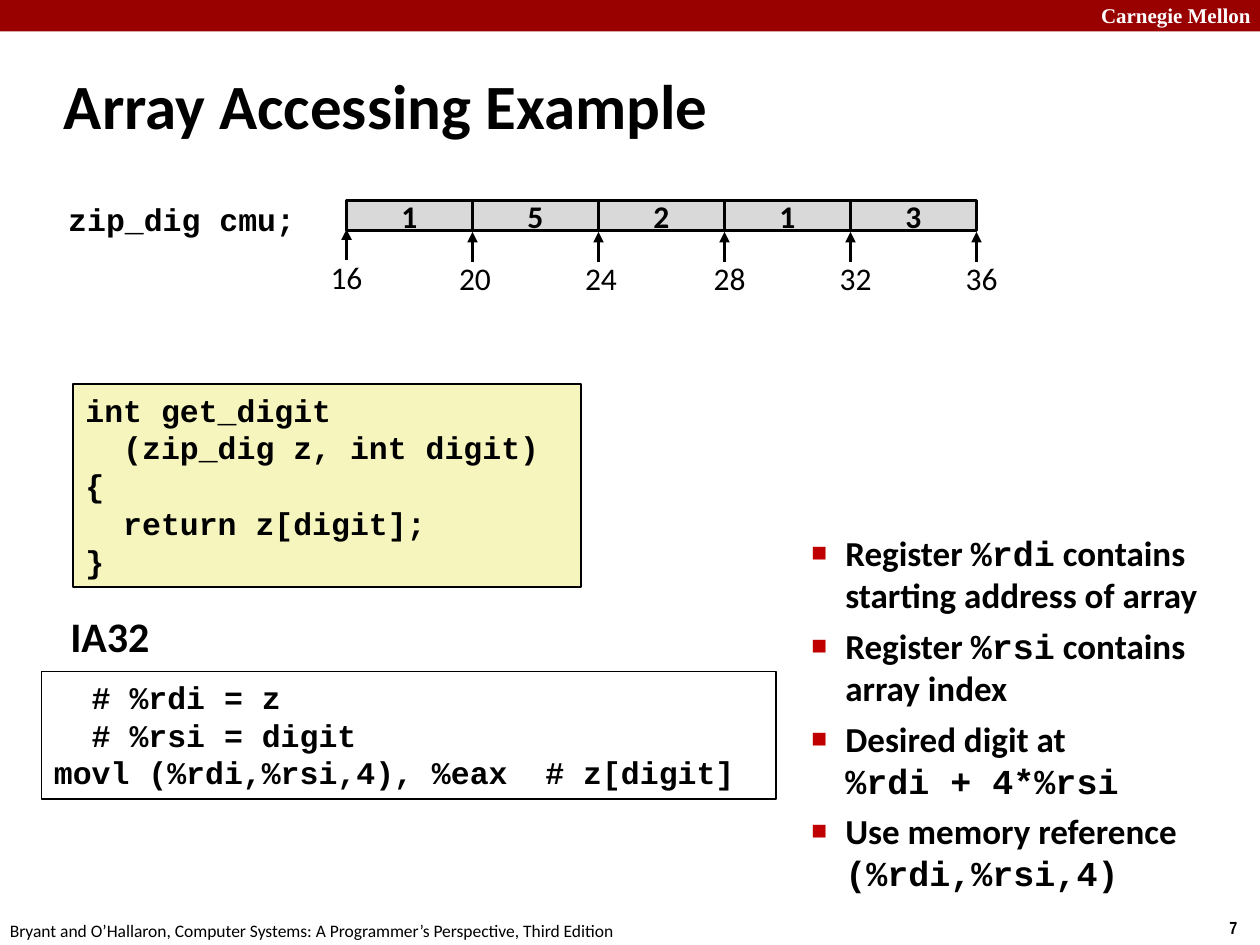
import dataclasses
import pptx
import pptx.util
import pptx.dml.color
import pptx.enum.shapes
import pptx.enum.text
import pptx.oxml
import pptx.oxml.ns

Align = pptx.enum.text.PP_ALIGN
Mid = pptx.enum.text.MSO_ANCHOR.MIDDLE
Kind = pptx.enum.shapes.MSO_SHAPE
Line = pptx.enum.shapes.MSO_CONNECTOR.STRAIGHT
Pt = pptx.util.Pt
COLS, ROWS = 100, 75


def color(code):
    return pptx.dml.color.RGBColor.from_string(code)


def node(tag, **attrs):
    item = pptx.oxml.parse_xml(f"<a:{tag} {pptx.oxml.ns.nsdecls('a')}/>")
    for name, value in attrs.items():
        item.set(name, value)
    return item


@dataclasses.dataclass(frozen=True)
class Theme:
    ink: str = "000000"
    paper: str = "FFFFFF"
    band: str = "990000"
    mark: str = "C00000"
    code: str = "F6F5BD"
    cell: str = "D9D9D9"
    sans: str = "Calibri"
    mono: str = "Courier New"
    serif: str = "Times New Roman"
    slim: str = "Arial Narrow"
    title: int = 36
    head: int = 24
    body: int = 20
    text: int = 18
    brand: int = 12
    foot: int = 10


class Deck:
    """Draws themed elements on the current slide, placed by columns and rows."""

    def __init__(self, theme):
        self.theme = theme
        self.prs = pptx.Presentation()
        self.prs.slide_width = pptx.util.Inches(10)
        self.prs.slide_height = pptx.util.Inches(7.5)
        self.slide = None

    def page(self):
        self.slide = self.prs.slides.add_slide(self.prs.slide_layouts[6])

    def place(self, *spots):
        units = (self.prs.slide_width / COLS, self.prs.slide_height / ROWS)
        return [round(spot * units[i % 2]) for i, spot in enumerate(spots)]

    def words(self, para, text, **look):
        form = {"name": self.theme.sans, "size": self.theme.text, "bold": True} | look
        form["size"] = Pt(form["size"])
        ink = form.pop("ink", self.theme.ink)
        for i, part in enumerate(text.split("`")):
            for j, piece in enumerate(part.split("\n")):
                if j:
                    para.add_line_break()
                if not piece:
                    continue
                run = para.add_run()
                run.text = piece
                for name, value in form.items():
                    setattr(run.font, name, value)
                if i % 2:
                    run.font.name = self.theme.mono
                run.font.color.rgb = color(ink)

    def fill(self, shape, lines, align=Align.LEFT, wrap=True, anchor=None, **look):
        frame = shape.text_frame
        form = {"word_wrap": wrap,
                "vertical_anchor": anchor or pptx.enum.text.MSO_ANCHOR.TOP}
        for name, value in form.items():
            setattr(frame, name, value)
        for i, text in enumerate(lines):
            para = frame.add_paragraph() if i else frame.paragraphs[0]
            para.alignment = align
            self.words(para, text, **look)
        return shape

    def label(self, spot, *lines, **look):
        return self.fill(self.slide.shapes.add_textbox(*self.place(*spot)), lines, **look)

    def box(self, spot, *lines, fill=None, edge=1, **look):
        shape = self.slide.shapes.add_shape(Kind.RECTANGLE, *self.place(*spot))
        shape.shadow.inherit = False
        if fill:
            shape.fill.solid()
            shape.fill.fore_color.rgb = color(fill)
        else:
            shape.fill.background()
        if edge:
            shape.line.color.rgb = color(self.theme.ink)
            shape.line.width = Pt(edge)
        else:
            shape.line.fill.background()
        return self.fill(shape, lines, **look)

    def points(self, spot, *lines, **look):
        shape = self.label(spot, *lines, **look)
        for i, para in enumerate(shape.text_frame.paragraphs):
            if i:
                para.space_before = Pt(5)
            props = para._p.get_or_add_pPr()
            props.set("marL", str(pptx.util.Inches(0.44)))
            props.set("indent", str(pptx.util.Inches(-0.27)))
            tint = node("buClr")
            tint.append(node("srgbClr", val=self.theme.mark))
            props.extend([tint, node("buSzPct", val="75000"),
                          node("buFont", typeface="Arial"), node("buChar", char="■")])

    def arrow(self, *ends):
        line = self.slide.shapes.add_connector(Line, *self.place(*ends))
        line.line.color.rgb = color(self.theme.ink)
        line.line.width = Pt(2)
        props = line._element.spPr
        props.find(pptx.oxml.ns.qn("a:ln")).append(node("tailEnd", type="triangle"))
        props.append(node("effectLst"))


def frame(deck):
    look = deck.theme
    deck.box((0, 0, COLS, 2.5), fill=look.band, edge=0)
    deck.label((86.4, -0.3, 14.3, 3), "Carnegie Mellon",
               name=look.serif, size=look.brand, ink=look.paper)
    deck.label((96.6, 72.3, 3.4, 2.7), "7", wrap=False, name=look.slim, size=look.foot)
    deck.label((-0.2, 72.5, 50.8, 2.7),
               "Bryant and O’Hallaron, Computer Systems: A Programmer’s Perspective, Third Edition",
               wrap=False, size=look.foot, bold=False)
    deck.label((4.1, 4.1, 83, 8.3), "Array Accessing Example", anchor=Mid, size=look.title)


def array(deck, digits, start, step):
    left, top, wide, high = 27.5, 15.9, 10, 2.4
    deck.label((3.3, 15.4, 21.1, 4), "zip_dig cmu;", align=Align.RIGHT, name=deck.theme.mono)
    for i, digit in enumerate(digits):
        deck.box((left + i * wide, top, wide, high), digit, fill=deck.theme.cell, edge=2,
                 align=Align.CENTER, anchor=Mid, wrap=False)
    for i in range(len(digits) + 1):
        x = left + i * wide
        drop = 0.2 if i else 0
        shift = 0.2 if i < 3 else 0.4
        deck.arrow(x, 20.6 + drop, x, 18.2 + drop)
        deck.label((x - 5.4 + (shift if i else 0), 20 + drop / 2, 10.8, 4),
                   str(start + i * step), align=Align.CENTER, bold=False)


def code(deck):
    look = deck.theme
    deck.box((5.8, 30.5, 40.3, 16.1), "int get_digit", "  (zip_dig z, int digit)", "{",
             "  return z[digit];", "}", fill=look.code, name=look.mono)
    deck.label((4.6, 48, 8.3, 5), "IA32", wrap=False, size=look.head)
    deck.box((3.3, 53.3, 58.3, 10.1), "  # %rdi = z", "  # %rsi = digit",
             "movl (%rdi,%rsi,4), %eax  # z[digit]", name=look.mono)


def main():
    deck = Deck(Theme())
    deck.page()
    frame(deck)
    array(deck, "15213", 16, 4)
    code(deck)
    deck.points((61.7, 41.7, 37.5, 32.6),
                "Register `%rdi` contains starting address of array",
                "Register `%rsi` contains\narray index",
                "Desired digit at\n`%rdi + 4*%rsi`",
                "Use memory reference `(%rdi,%rsi,4)`", size=deck.theme.body)
    deck.prs.save("out.pptx")


if __name__ == "__main__":
    main()
